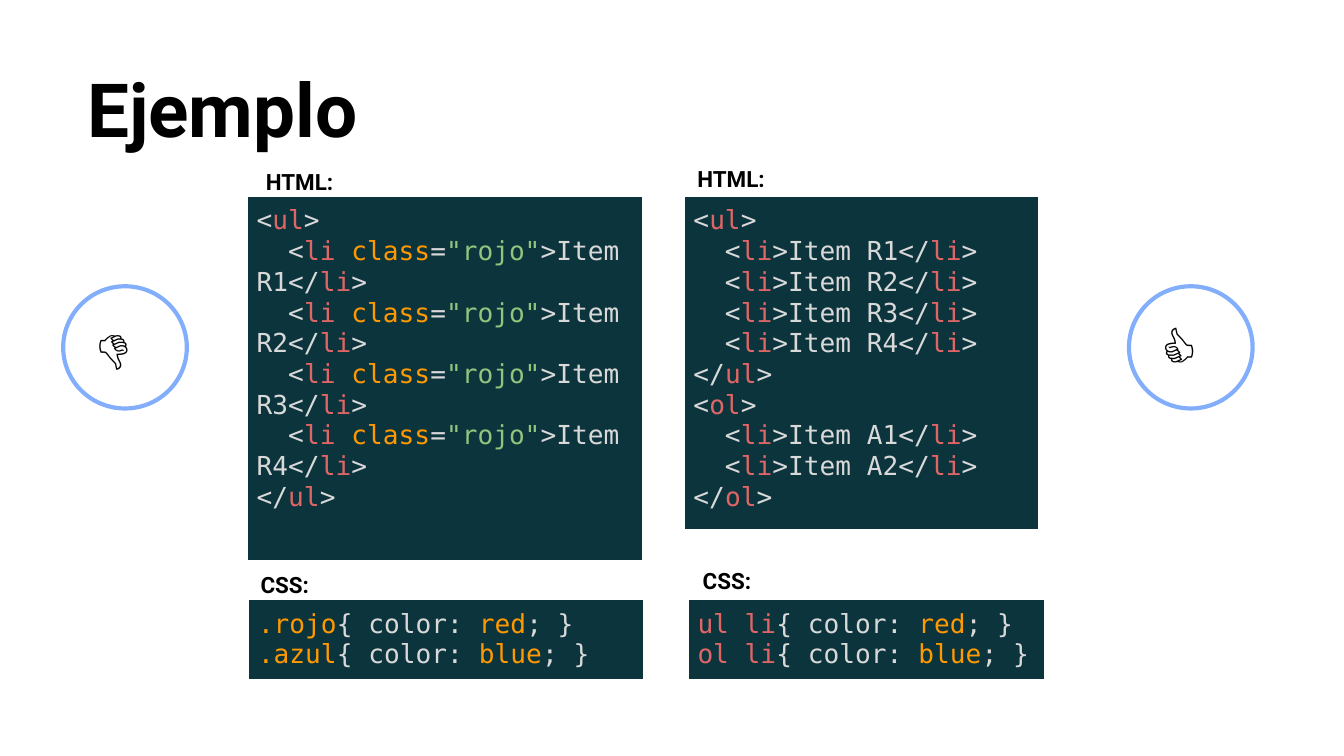
from lxml import etree
from pptx import Presentation
from pptx.dml.color import RGBColor
from pptx.enum import shapes, text
from pptx.oxml.ns import qn
from pptx.util import Inches, Pt

COLORS = {"ink": "000000", "paper": "FFFFFF", "ring": "83AEFB", "panel": "0C343D",
          "plain": "D9D9D9", "tag": "E06666", "name": "FF9900", "string": "93C47D"}
FONTS = {"title": {"name": "Roboto", "size": Pt(40), "bold": True},
         "label": {"name": "Roboto", "size": Pt(12), "bold": True},
         "icon": {"name": "Roboto", "size": Pt(30), "bold": False},
         "code": {"name": "DejaVu Sans Mono", "size": Pt(14), "bold": False}}


def open_tag(name):
    return [("<", "plain"), (name, "tag"), (">", "plain")]


def close_tag(name):
    return [("</", "plain"), (name, "tag"), (">", "plain")]


def item(label):
    return [("  <", "plain"), ("li", "tag"), (f">Item {label}</", "plain"),
            ("li", "tag"), (">", "plain")]


def class_item(label):
    return [("  <", "plain"), ("li ", "tag"), ("class", "name"), ("=", "plain"),
            ('"rojo"', "string"), (f">Item {label}</", "plain"),
            ("li", "tag"), (">", "plain")]


def rule(selector, kind, value):
    return [(selector, kind), ("{ color: ", "plain"), (value, "name"), ("; }", "plain")]


REDS = ["R1", "R2", "R3", "R4"]
BLUES = ["A1", "A2"]
TITLE = "Ejemplo"
ICONS = [("👎", 0.47), ("👍", 8.4)]
BLOCKS = [
    {"label": "HTML:", "label_at": (1.88, 1.12), "at": (1.84, 1.46), "size": (2.94, 2.71),
     "code": [open_tag("ul"), *map(class_item, REDS), close_tag("ul")]},
    {"label": "CSS:", "label_at": (1.84, 4.12), "at": (1.85, 4.46), "size": (2.94, 0.6),
     "code": [rule(".rojo", "name", "red"), rule(".azul", "name", "blue")]},
    {"label": "HTML:", "label_at": (5.09, 1.1), "at": (5.09, 1.46), "size": (2.64, 2.48),
     "code": [open_tag("ul"), *map(item, REDS), close_tag("ul"),
              open_tag("ol"), *map(item, BLUES), close_tag("ol")]},
    {"label": "CSS:", "label_at": (5.13, 4.09), "at": (5.12, 4.46), "size": (2.65, 0.6),
     "code": [rule("ul li", "tag", "red"), rule("ol li", "tag", "blue")]},
]
SPARE_ROW = 0.36


def rgb(key):
    return RGBColor.from_string(COLORS[key])


def set_attrs(obj, values):
    for key, value in values.items():
        setattr(obj, key, value)


def margins(inset):
    return {f"margin_{side}": Inches(inset) for side in ("left", "top", "right", "bottom")}


def add_run(p, content, font, color):
    r = p.add_run()
    r.text = content
    set_attrs(r.font, FONTS[font])
    r.font.color.rgb = rgb(color)


def write_text(sp, content, font, spacing=1.0, anchor=text.MSO_ANCHOR.TOP):
    tf = sp.text_frame
    set_attrs(tf, {"word_wrap": True, "vertical_anchor": anchor, **margins(0.1)})
    p = tf.paragraphs[0]
    set_attrs(p, {"alignment": text.PP_ALIGN.LEFT, "line_spacing": spacing})
    add_run(p, content, font, "ink")


def set_borders(cell):
    tc_pr = cell._tc.get_or_add_tcPr()
    for i, side in enumerate(("lnL", "lnR", "lnT", "lnB")):
        ln = etree.Element(qn(f"a:{side}"), w=str(Pt(0.75)))
        fill = etree.SubElement(ln, qn("a:solidFill"))
        etree.SubElement(fill, qn("a:srgbClr"), val=COLORS["paper"])
        tc_pr.insert(i, ln)


def add_code(s, block):
    width, height = block["size"]
    rows = (height, SPARE_ROW)
    box = map(Inches, (*block["at"], width, sum(rows)))
    table = s.shapes.add_table(len(rows), 1, *box).table
    set_attrs(table, {"first_row": False, "horz_banding": False})
    for i, row_height in enumerate(rows):
        table.rows[i].height = Inches(row_height)
        cell = table.cell(i, 0)
        set_attrs(cell, margins(0.07))
        cell.fill.background()
        set_borders(cell)
    cell = table.cell(0, 0)
    cell.fill.solid()
    cell.fill.fore_color.rgb = rgb("panel")
    tf = cell.text_frame
    for i, line in enumerate(block["code"]):
        p = tf.add_paragraph() if i else tf.paragraphs[0]
        for content, color in line:
            add_run(p, content, "code", color)


def add_icon(s, symbol, left):
    sp = s.shapes.add_shape(shapes.MSO_SHAPE.OVAL, *map(Inches, (left, 2.13, 0.92, 0.91)))
    sp.shadow.inherit = False
    sp.fill.solid()
    sp.fill.fore_color.rgb = rgb("paper")
    sp.line.color.rgb = rgb("ring")
    sp.line.width = Pt(2.25)
    write_text(sp, symbol, "icon", anchor=text.MSO_ANCHOR.MIDDLE)


def main():
    prs = Presentation()
    set_attrs(prs, {"slide_width": Inches(10), "slide_height": Inches(10) * 9 // 16})
    s = prs.slides.add_slide(prs.slide_layouts[5])
    title = s.shapes.title
    set_attrs(title, {"left": Inches(0.55), "top": Inches(0.44),
                      "width": Inches(8.9), "height": Inches(0.81)})
    write_text(title, TITLE, "title", 0.9)
    for symbol, left in ICONS:
        add_icon(s, symbol, left)
    for block in BLOCKS:
        add_code(s, block)
    for block in BLOCKS:
        label = s.shapes.add_textbox(*map(Inches, (*block["label_at"], 3.28, 0.36)))
        write_text(label, block["label"], "label", 1.15)
    prs.save("out.pptx")


if __name__ == "__main__":
    main()
